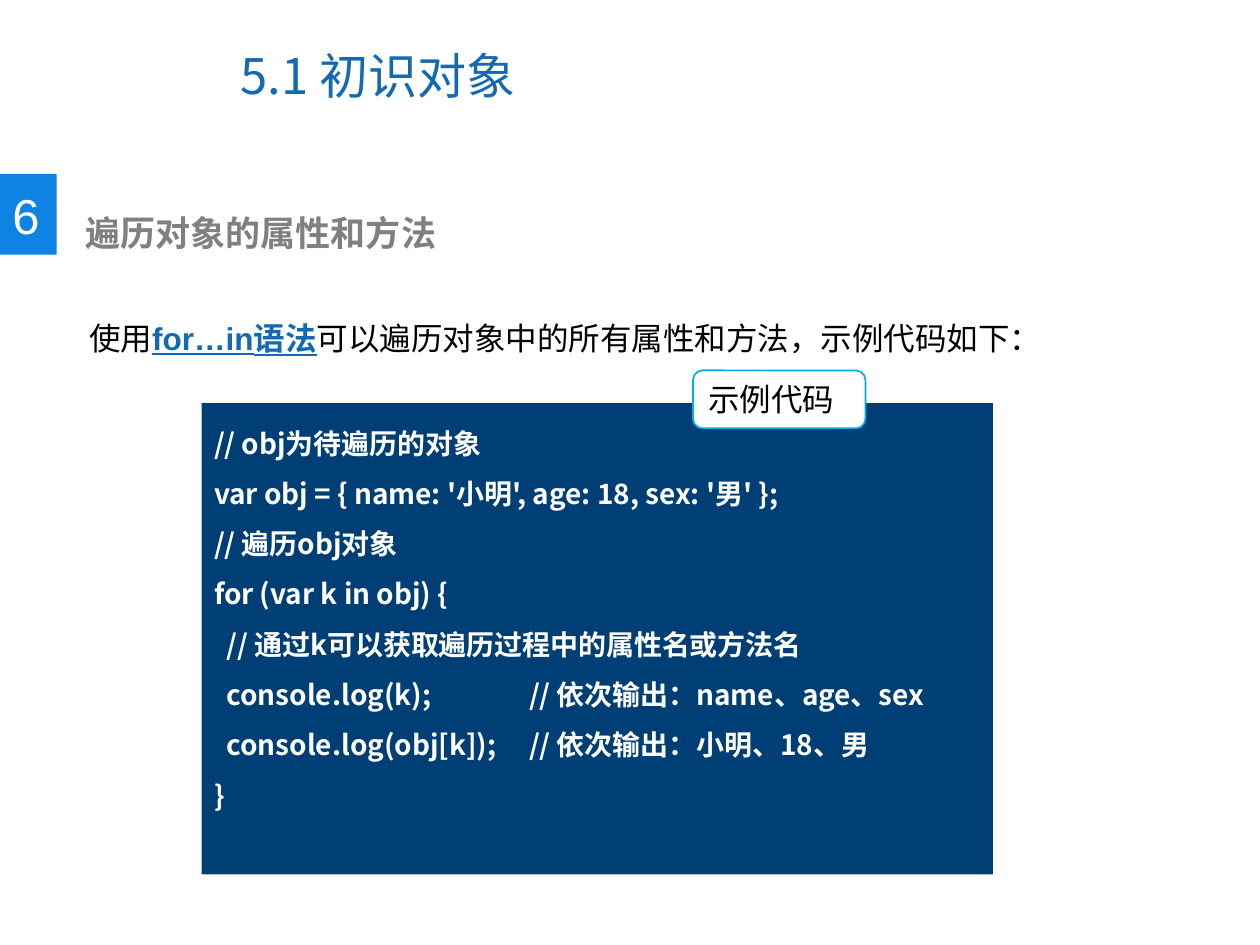
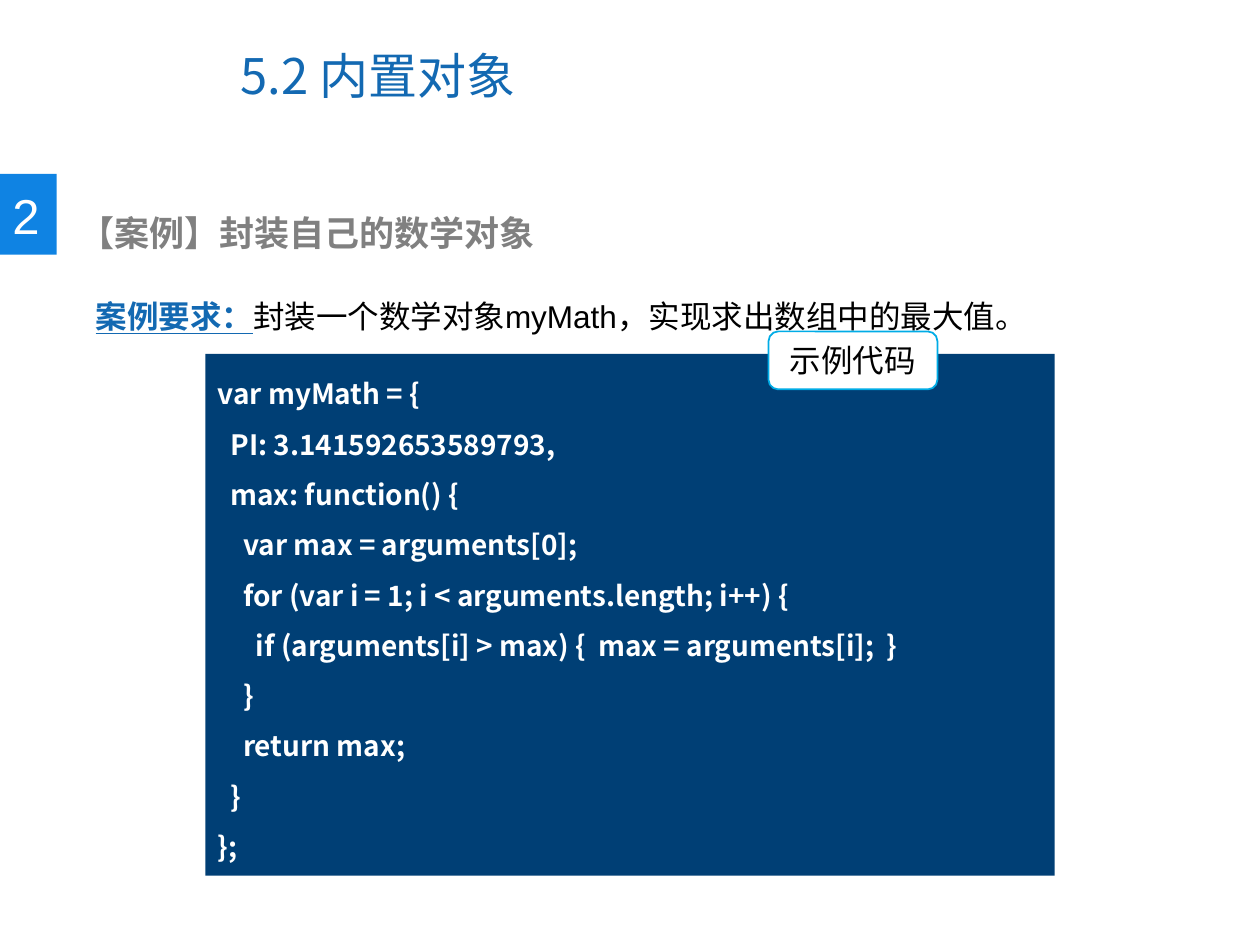
from dataclasses import dataclass

from lxml.etree import SubElement
from pptx import Presentation
from pptx.dml.color import RGBColor
from pptx.enum.shapes import MSO_SHAPE
from pptx.enum.text import MSO_ANCHOR, PP_ALIGN
from pptx.oxml.ns import qn
from pptx.util import Pt


@dataclass(frozen=True)
class Theme:
    latin: str = "Arial"
    chinese: str = "Noto Sans CJK SC"
    title_blue: str = "1369B2"
    badge_blue: str = "0F83E3"
    code_blue: str = "003F75"
    label_line: str = "00ACE6"
    heading_gray: str = "808080"
    black: str = "000000"
    white: str = "FFFFFF"
    title_size: int = 28
    heading_size: int = 20
    body_size: int = 18
    code_size: int = 16
    body_leading: float = 44
    code_leading: float = 28.75


THEME = Theme()

OBJECT_LOOP = """// obj为待遍历的对象
var obj = { name: '小明', age: 18, sex: '男' };
// 遍历obj对象
for (var k in obj) {
  // 通过k可以获取遍历过程中的属性名或方法名
  console.log(k);\t\t// 依次输出：name、age、sex
  console.log(obj[k]);\t// 依次输出：小明、18、男
}"""

MATH_OBJECT = """var myMath = {
  PI: 3.141592653589793,
  max: function() {
    var max = arguments[0];
    for (var i = 1; i < arguments.length; i++) {
      if (arguments[i] > max) {  max = arguments[i];  }
    }
    return max;
  }
};"""


def color(value):
    return RGBColor.from_string(value)


def style_paragraph(para, size, ink, name=THEME.latin, bold=False,
                    leading=None, align=PP_ALIGN.LEFT):
    para.alignment = align
    if leading:
        para.line_spacing = Pt(leading)
    font = para.font
    font.size, font.name, font.bold = Pt(size), name, bold
    font.color.rgb = color(ink)
    defaults = para._p.pPr.find(qn("a:defRPr"))
    SubElement(defaults, qn("a:ea"), typeface=THEME.chinese)


def write_lines(box, lines, anchor=MSO_ANCHOR.TOP, **style):
    frame = box.text_frame
    frame.word_wrap = True
    frame.vertical_anchor = anchor
    for index, line in enumerate(lines):
        para = frame.add_paragraph() if index else frame.paragraphs[0]
        para.add_run().text = line
        style_paragraph(para, **style)


def add_text(page, place, text, **style):
    box = page.shapes.add_textbox(*map(Pt, place))
    write_lines(box, [text], **style)


def add_panel(page, kind, place, fill, line=None):
    panel = page.shapes.add_shape(kind, *map(Pt, place))
    panel.shadow.inherit = False
    panel.fill.solid()
    panel.fill.fore_color.rgb = color(fill)
    if line:
        panel.line.color.rgb = color(line)
        panel.line.width = Pt(1)
    else:
        panel.line.fill.background()
    return panel


def add_header(page, title, number, heading, heading_left):
    add_text(page, (130.3, 12.2, 371.5, 61.2), title, anchor=MSO_ANCHOR.MIDDLE,
             size=THEME.title_size, ink=THEME.title_blue, name=THEME.chinese)
    add_panel(page, MSO_SHAPE.RECTANGLE, (0, 99.4, 32.4, 46.1), THEME.badge_blue)
    add_text(page, (0, 102.2, 30.2, 41), number, anchor=MSO_ANCHOR.MIDDLE,
             size=THEME.title_size, ink=THEME.white)
    add_text(page, (heading_left, 117.4, 370, 31.7), heading, bold=True,
             size=THEME.heading_size, ink=THEME.heading_gray)


def add_statement(page, place, spans):
    box = page.shapes.add_textbox(*map(Pt, place))
    box.text_frame.word_wrap = True
    para = box.text_frame.paragraphs[0]
    for text, emphasized in spans:
        span = para.add_run()
        span.text = text
        if emphasized:
            span.font.bold = span.font.underline = True
            span.font.color.rgb = color(THEME.title_blue)
    style_paragraph(para, THEME.body_size, THEME.black,
                    leading=THEME.body_leading)


def add_code(page, place, code, label_place, label_align):
    panel = add_panel(page, MSO_SHAPE.RECTANGLE, place, THEME.code_blue)
    write_lines(panel, code.splitlines(), size=THEME.code_size, ink=THEME.white,
                name=THEME.chinese, bold=True, leading=THEME.code_leading)
    label = add_panel(page, MSO_SHAPE.ROUNDED_RECTANGLE, label_place,
                      THEME.white, THEME.label_line)
    write_lines(label, ["示例代码"], anchor=MSO_ANCHOR.MIDDLE,
                size=THEME.body_size, ink=THEME.black, align=label_align)


def build_traversal(page):
    add_header(page, "5.1 初识对象", "6", "遍历对象的属性和方法", 41.8)
    add_statement(page, (43.9, 156.2, 662.4, 51.1), [
        ("使用", False), ("for…in语法", True),
        ("可以遍历对象中的所有属性和方法，示例代码如下：", False)])
    add_code(page, (115.2, 230.4, 452.2, 269.3), OBJECT_LOOP,
             (396, 211.7, 98.6, 33.1), PP_ALIGN.LEFT)


def build_math_case(page):
    add_header(page, "5.2 内置对象", "2", "【案例】封装自己的数学对象", 38.2)
    add_statement(page, (47.5, 144, 622.8, 51.1), [
        ("案例要求：", True),
        ("封装一个数学对象myMath，实现求出数组中的最大值。", False)])
    add_code(page, (117.4, 202.3, 485.3, 298.1), MATH_OBJECT,
             (439.2, 189.4, 96.5, 33.1), PP_ALIGN.CENTER)


def main():
    deck = Presentation()
    deck.slide_width, deck.slide_height = Pt(720), Pt(540)
    for build in (build_traversal, build_math_case):
        build(deck.slides.add_slide(deck.slide_layouts[6]))
    deck.save("out.pptx")


if __name__ == "__main__":
    main()
